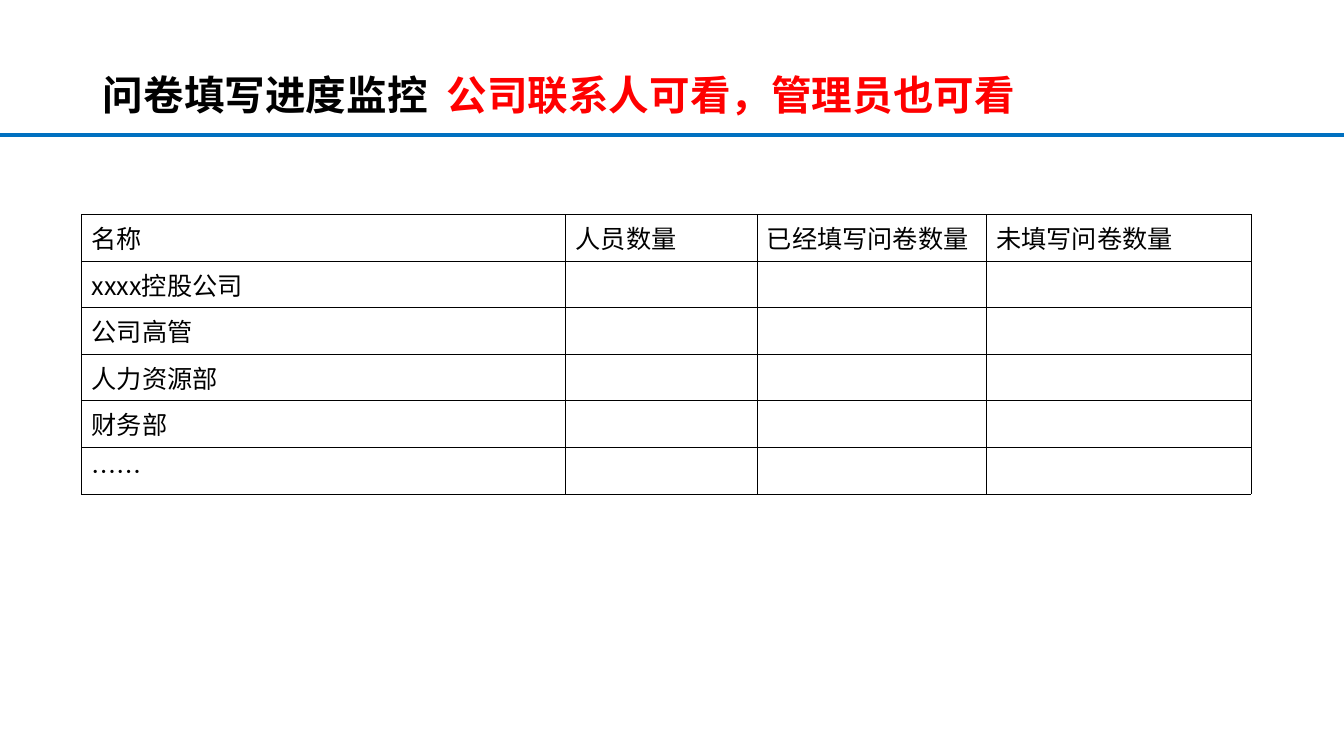
from dataclasses import dataclass
from pptx import Presentation
from pptx.dml.color import RGBColor
from pptx.enum.shapes import MSO_CONNECTOR
from pptx.enum.text import MSO_ANCHOR, MSO_AUTO_SIZE, PP_ALIGN
from pptx.oxml.ns import qn
from pptx.util import Cm, Pt
from lxml.etree import SubElement


@dataclass(frozen=True)
class Theme:
    font: str = "Noto Sans CJK SC"
    black: str = "000000"
    red: str = "FF0000"
    blue: str = "0070C0"
    title: int = 29
    body: int = 18
    rule: float = 3
    grid: float = 0.45


theme = Theme()


def add_run(para, text, size, color, bold=False):
    run = para.add_run()
    run.text = text
    font = run.font
    font.name, font.size, font.bold = theme.font, Pt(size), bold
    font.color.rgb = RGBColor.from_string(color)
    SubElement(run._r.get_or_add_rPr(), qn("a:ea"), typeface=theme.font)


def add_grid(cell):
    props = cell._tc.get_or_add_tcPr()
    for side in ("lnL", "lnR", "lnT", "lnB"):
        edge = SubElement(props, qn(f"a:{side}"), w=str(Pt(theme.grid)))
        fill = SubElement(edge, qn("a:solidFill"))
        SubElement(fill, qn("a:srgbClr"), val=theme.black)


# Slide
deck = Presentation()
deck.slide_width, deck.slide_height = Cm(33.88), Cm(19.05)
slide = deck.slides.add_slide(deck.slide_layouts[5])

# Rule under the title
rule = slide.shapes.add_connector(
    MSO_CONNECTOR.STRAIGHT, 0, Cm(3.4), deck.slide_width, Cm(3.4))
rule.line.color.rgb = RGBColor.from_string(theme.blue)
rule.line.width = Pt(theme.rule)
SubElement(rule._element.spPr, qn("a:effectLst"))

# Title
title = slide.shapes.title
title.left, title.top = Cm(2.34), Cm(1.02)
title.width, title.height = Cm(29.2), Cm(2.1)
frame = title.text_frame
frame.word_wrap = True
frame.auto_size = MSO_AUTO_SIZE.NONE
frame.vertical_anchor = MSO_ANCHOR.MIDDLE
para = frame.paragraphs[0]
para.alignment = PP_ALIGN.LEFT
para.line_spacing = 1.5
add_run(para, "问卷填写进度监控  ", theme.title, theme.black, True)
add_run(para, "公司联系人可看，管理员也可看", theme.title, theme.red, True)

# Progress table
heads = ["名称", "人员数量", "已经填写问卷数量", "未填写问卷数量"]
names = ["xxxx控股公司", "公司高管", "人力资源部", "财务部", "……"]
rows = [heads] + [[name, "", "", ""] for name in names]
widths = [12.2, 4.82, 5.78, 6.68]
height = 1.17
table = slide.shapes.add_table(
    len(rows), len(heads), Cm(2.06), Cm(5.4),
    Cm(sum(widths)), Cm(height * len(rows))).table
table.first_row = table.horz_banding = False
for col, width in zip(table.columns, widths):
    col.width = Cm(width)
for line, row in zip(table.rows, rows):
    line.height = Cm(height)
    for cell, text in zip(line.cells, row):
        add_grid(cell)
        cell.fill.background()
        if text:
            add_run(cell.text_frame.paragraphs[0], text,
                    theme.body, theme.black)

deck.save("out.pptx")
